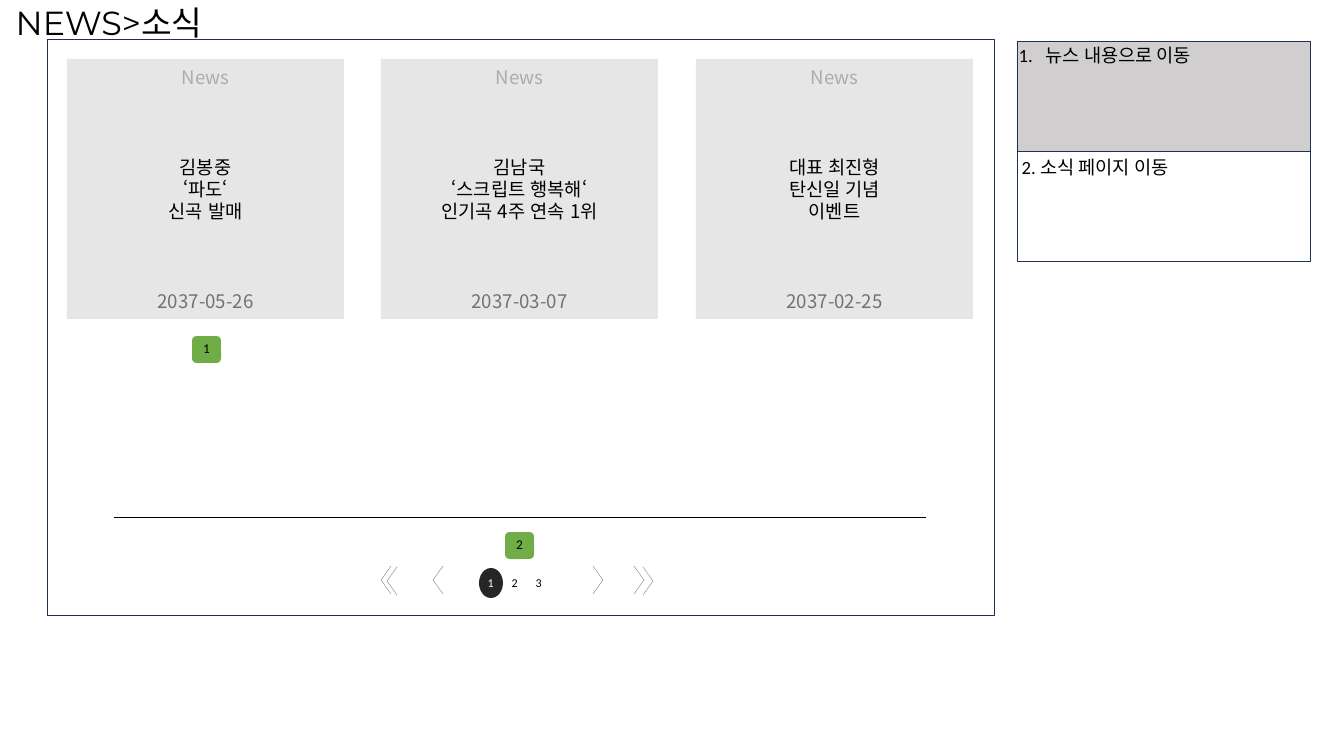
from lxml.etree import SubElement
from pptx import Presentation
from pptx.dml.color import RGBColor
from pptx.enum.lang import MSO_LANGUAGE_ID as Language
from pptx.enum.shapes import MSO_CONNECTOR as Connector, MSO_SHAPE as Preset
from pptx.enum.text import MSO_ANCHOR as Anchor, PP_ALIGN as Align
from pptx.oxml.ns import qn
from pptx.util import Emu, Inches, Pt

PX = Inches(1) // 48
BLACK, WHITE, GRAY, NAVY = "000000", "FFFFFF", "767171", "1E3256"
LINE_PITCH = 33.6


def px(value):
    return Emu(value * PX)


def rgb(value):
    return RGBColor.from_string(value)


def apply(target, formats):
    for key, value in formats.items():
        setattr(target, key, value)


class NewsPage:
    font = "Calibri"
    card_font = "Noto Sans CJK KR"

    def __init__(self, slide):
        self.slide = slide

    def shape(self, preset, box, fill=None, outline=None):
        shape = self.slide.shapes.add_shape(preset, *map(px, box))
        shape.shadow.inherit = False
        if fill:
            shape.fill.solid()
            shape.fill.fore_color.rgb = rgb(fill)
        else:
            shape.fill.background()
        if outline:
            shape.line.color.rgb = rgb(outline)
            shape.line.width = Pt(1)
        else:
            shape.line.fill.background()
        return shape

    def run(self, paragraph, words, size, color=BLACK, font=None):
        """Add a run whose Latin and East Asian letters share one font."""
        run = paragraph.add_run()
        run.text = words
        apply(run.font, {"size": Pt(size), "name": font or self.font,
                         "language_id": Language.KOREAN})
        run.font.color.rgb = rgb(color)
        east_asian = SubElement(run.font._element, qn("a:ea"))
        east_asian.set("typeface", font or self.font)

    def text(self, box, runs, size, font=None, align=Align.LEFT):
        """Place one paragraph made of (words, color) runs."""
        frame = self.slide.shapes.add_textbox(*map(px, box)).text_frame
        frame.word_wrap = True
        paragraph = frame.paragraphs[0]
        paragraph.alignment = align
        for words, color in runs:
            self.run(paragraph, words, size, color, font)
        return paragraph

    def line(self, start, end, color=BLACK, width=1.5):
        line = self.slide.shapes.add_connector(
            Connector.STRAIGHT, *map(px, (*start, *end)))
        line.line.color.rgb = rgb(color)
        line.line.width = Pt(width)
        SubElement(line._element.spPr, qn("a:effectLst"))

    def chevron(self, tip_x, tip_y, direction):
        """Draw an arrow of two strokes; direction is -1 for left, 1 for right."""
        for rise in (-14, 14):
            self.line((tip_x - direction * 10, tip_y + rise), (tip_x, tip_y), GRAY, 0.5)

    def card(self, left, headline, date):
        frame = self.shape(Preset.RECTANGLE, (left, 59, 277, 260), "E7E6E6").text_frame
        apply(frame, {"word_wrap": True, "vertical_anchor": Anchor.MIDDLE})
        gap = 3 * LINE_PITCH
        rows = [("News", "AFABAB", 0)]
        rows += [(words, BLACK, 0 if i else gap) for i, words in enumerate(headline)]
        rows.append((date, GRAY, gap))
        for i, (words, color, before) in enumerate(rows):
            paragraph = frame.add_paragraph() if i else frame.paragraphs[0]
            apply(paragraph, {"alignment": Align.CENTER, "line_spacing": Pt(LINE_PITCH),
                              "space_before": Pt(before)})
            self.run(paragraph, words, 28, color, self.card_font)

    def badge(self, left, top, number):
        self.shape(Preset.ROUNDED_RECTANGLE, (left, top, 29, 27), "70AD47")
        self.text((left + 5, top + 2, 19, 21), [(number, BLACK)], 20, align=Align.CENTER)

    def numbered(self, paragraph, indent):
        properties = paragraph._p.get_or_add_pPr()
        properties.set("marL", str(px(indent)))
        properties.set("indent", str(-px(indent)))
        SubElement(properties, qn("a:buFont")).set("typeface", self.font)
        SubElement(properties, qn("a:buAutoNum")).set("type", "arabicPeriod")

    def tab_stops(self, paragraph, stops):
        tabs = SubElement(paragraph._p.get_or_add_pPr(), qn("a:tabLst"))
        for stop in stops:
            tab = SubElement(tabs, qn("a:tab"))
            tab.set("pos", str(px(stop)))
            tab.set("algn", "l")


def main():
    deck = Presentation()
    apply(deck, {"slide_width": Inches(28), "slide_height": Inches(15.75)})
    page = NewsPage(deck.slides.add_slide(deck.slide_layouts[6]))

    page.text((11, 0, 278, 39), [("NEWS>소식", BLACK)], 50, "Montserrat")
    page.shape(Preset.RECTANGLE, (47, 39, 947, 576), outline=NAVY)

    news = [
        (("김봉중", "‘파도‘", "신곡 발매"), "2037-05-26"),
        (("김남국", "‘스크립트 행복해‘", "인기곡 4주 연속 1위"), "2037-03-07"),
        (("대표 최진형", "탄신일 기념", "이벤트"), "2037-02-25"),
    ]
    for i, (headline, date) in enumerate(news):
        page.card(67 + 629 * i // 2, headline, date)

    page.line((114, 518), (926, 518))
    page.shape(Preset.OVAL, (479, 568, 24, 30), "262626")
    pager = page.text((483, 573, 72, 19), [("1", WHITE), ("\t2\t3", BLACK)], 18)
    page.tab_stops(pager, (24, 48))
    for tip_x, tip_y, direction in ((381, 580, -1), (387, 581, -1), (433, 580, -1),
                                    (603, 580, 1), (644, 580, 1), (653, 581, 1)):
        page.chevron(tip_x, tip_y, direction)

    page.shape(Preset.RECTANGLE, (1017, 41, 293, 110), "D0CECE", NAVY)
    page.shape(Preset.RECTANGLE, (1017, 151, 293, 110), outline=NAVY)
    first_note = page.text((1014, 41, 201, 27), [("뉴스 내용으로 이동", BLACK)], 28)
    page.numbered(first_note, 27)
    page.text((1017, 153, 175, 27), [("2. 소식 페이지 이동", BLACK)], 28)

    page.badge(192, 336, "1")
    page.badge(505, 532, "2")
    deck.save("out.pptx")


if __name__ == "__main__":
    main()
